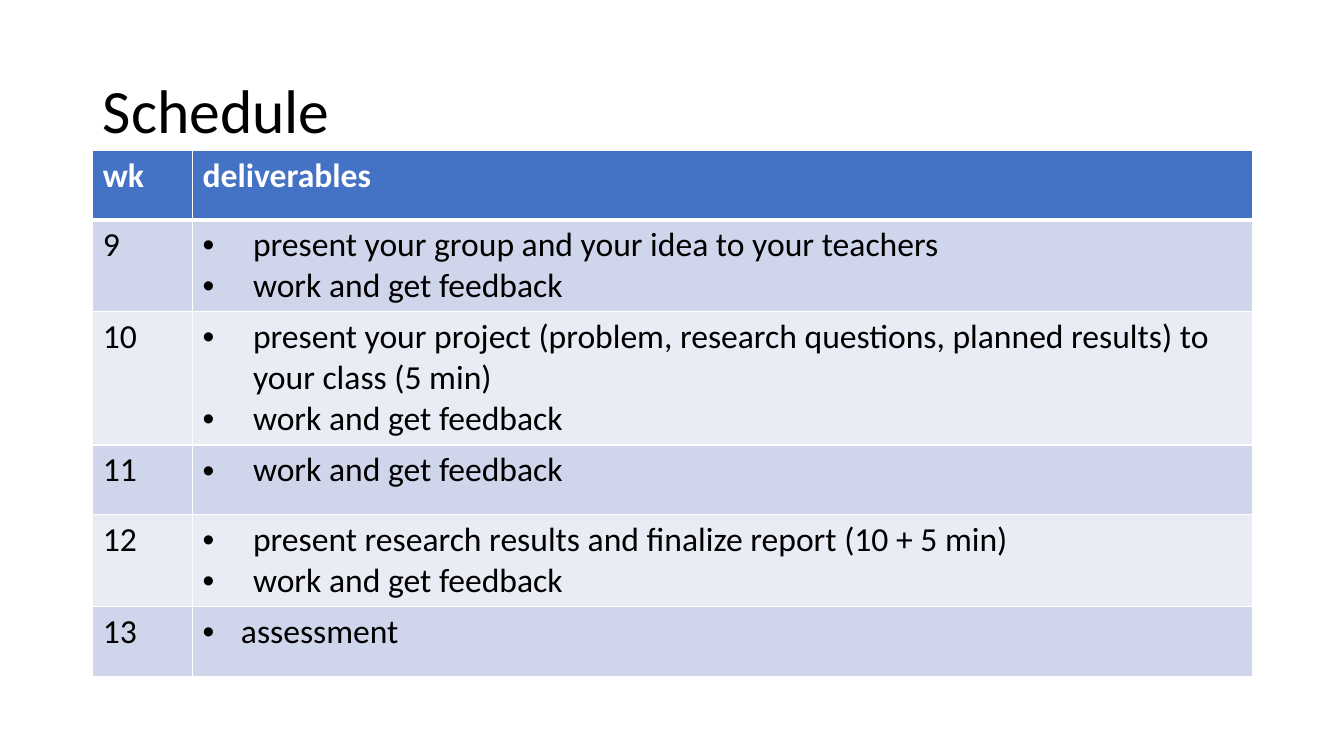
from dataclasses import dataclass

from lxml import etree
from pptx import Presentation
from pptx import util as u
from pptx.dml.color import RGBColor
from pptx.enum import text
from pptx.oxml.ns import qn


@dataclass(frozen=True)
class Theme:
    font: str = "Calibri"
    title: int = 44
    body: int = 24
    ink: str = "000000"
    paper: str = "FFFFFF"
    head: str = "4472C4"
    bands: tuple = ("CFD5EA", "E9EBF5")
    rule: int = 1
    thick: int = 3


THEME = Theme()

# Slide size and grid, in inches
WIDE, HIGH = 13.33, 7.5
LEFT, SPAN = 0.92, 11.5
COLS = (0.99, 10.51)
ROW, TALL = 0.69, 1.19

WORK = "work and get feedback"
# Week, deliverables, row height, bullet indent
WEEKS = [
    ("9", ["present your group and your idea to your teachers", WORK], ROW, 0.5),
    ("10", ["present your project (problem, research questions, planned results)"
            " to your class (5 min)", WORK], TALL, 0.5),
    ("11", [WORK], ROW, 0.5),
    ("12", ["present research results and finalize report (10 + 5 min)", WORK],
     ROW, 0.5),
    ("13", ["assessment"], ROW, 0.38),
]


def style(par, size, color, bold=False):
    for name, value in {"name": THEME.font, "size": u.Pt(size), "bold": bold}.items():
        setattr(par.font, name, value)
    par.font.color.rgb = RGBColor.from_string(color)


def bullet(par, indent):
    props = par._p.get_or_add_pPr()
    gap = u.Inches(indent)
    props.set("marL", str(gap))
    props.set("indent", str(-gap))
    mark = {"buFont": ("typeface", "Arial"), "buChar": ("char", "•")}
    for spot, (tag, (key, value)) in enumerate(mark.items()):
        node = etree.Element(qn("a:" + tag))
        node.set(key, value)
        props.insert(spot, node)


def border(cell, base):
    props = cell._tc.get_or_add_tcPr()
    for side in "LRTB":
        line = etree.SubElement(props, qn("a:ln" + side))
        line.set("w", str(u.Pt(base if side == "B" else THEME.rule)))
        fill = etree.SubElement(line, qn("a:solidFill"))
        etree.SubElement(fill, qn("a:srgbClr")).set("val", THEME.paper)


def write(cell, lines, fill, color, bold=False, indent=None, base=THEME.rule):
    border(cell, base)
    cell.fill.solid()
    cell.fill.fore_color.rgb = RGBColor.from_string(fill)
    cell.text = "\n".join(lines)
    for par in cell.text_frame.paragraphs:
        style(par, THEME.body, color, bold)
        if indent:
            bullet(par, indent)


def heading(slide, words):
    title = slide.shapes.title
    place = {"left": LEFT, "top": 0.4, "width": SPAN, "height": 1.45}
    for name, value in place.items():
        setattr(title, name, u.Inches(value))
    frame = title.text_frame
    frame.text = words
    frame.vertical_anchor = text.MSO_ANCHOR.MIDDLE
    par = frame.paragraphs[0]
    par.alignment = text.PP_ALIGN.LEFT
    par.line_spacing = 0.9
    style(par, THEME.title, THEME.ink)


def schedule(slide):
    heights = [ROW] + [week[2] for week in WEEKS]
    box = [u.Inches(n) for n in (LEFT, 1.49, SPAN, sum(heights))]
    table = slide.shapes.add_table(len(heights), len(COLS), *box).table
    for col, width in zip(table.columns, COLS):
        col.width = u.Inches(width)
    for row, height in zip(table.rows, heights):
        row.height = u.Inches(height)

    # Header row
    for col, word in enumerate(("wk", "deliverables")):
        write(table.cell(0, col), [word], THEME.head, THEME.paper,
              bold=True, base=THEME.thick)

    # Banded week rows
    for row, (week, tasks, _, indent) in enumerate(WEEKS, 1):
        band = THEME.bands[(row - 1) % 2]
        write(table.cell(row, 0), [week], band, THEME.ink)
        write(table.cell(row, 1), tasks, band, THEME.ink, indent=indent)


def main():
    deck = Presentation()
    deck.slide_width, deck.slide_height = u.Inches(WIDE), u.Inches(HIGH)
    slide = deck.slides.add_slide(deck.slide_layouts[5])
    heading(slide, "Schedule")
    schedule(slide)
    deck.save("out.pptx")


if __name__ == "__main__":
    main()
